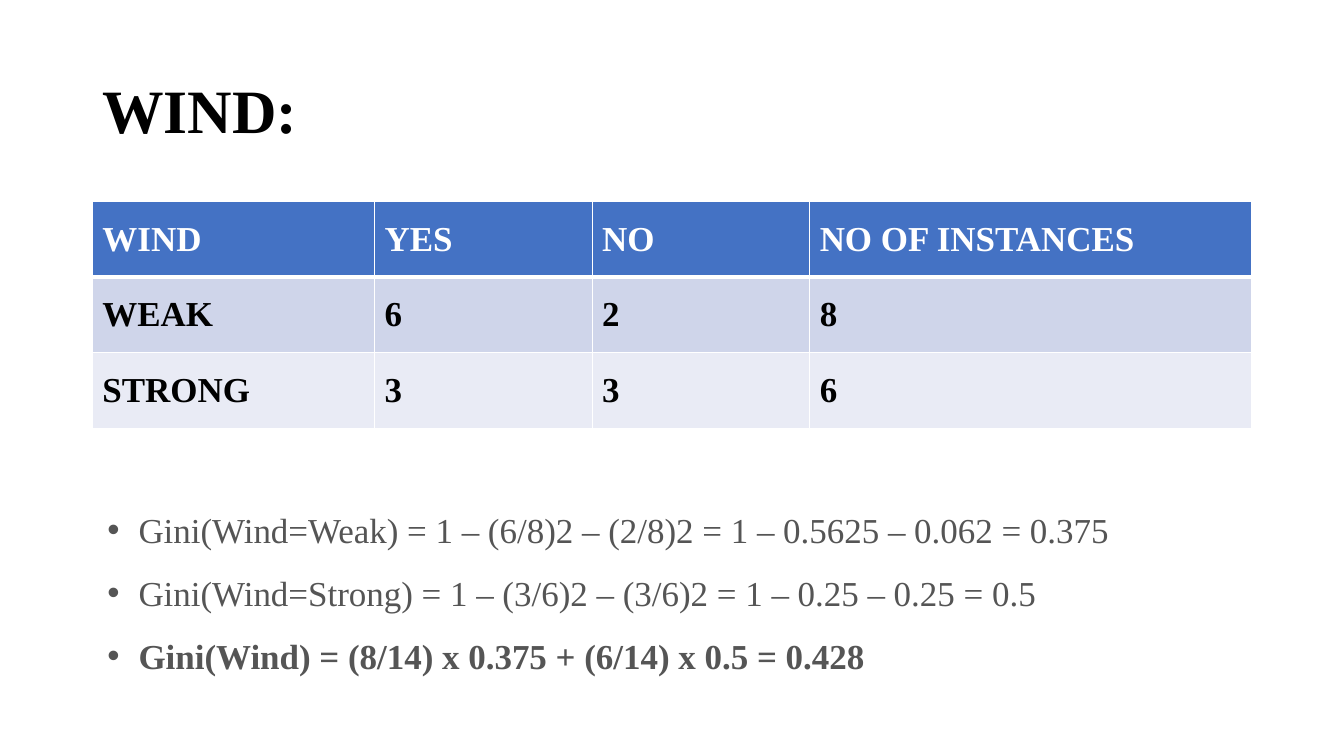
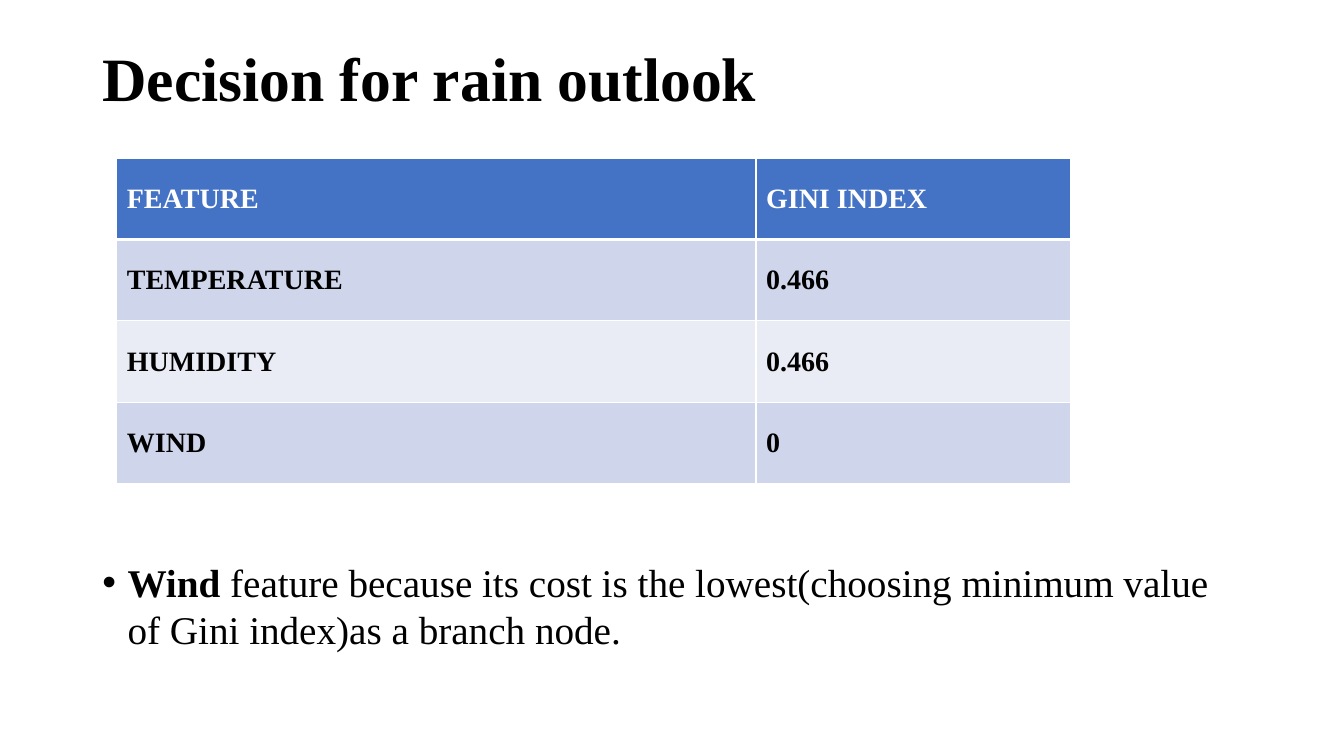
from dataclasses import dataclass
from typing import Any

from lxml import etree
from pptx import Presentation
from pptx import util as u
from pptx.dml.color import RGBColor
from pptx.enum import text
from pptx.oxml import ns

# Slide grid: 160 columns by 90 rows of square units
WIDTH, HEIGHT = u.Inches(13.333), u.Inches(7.5)
COLS, ROWS = 160, 90
MARGIN, SPAN = 11, 138

# Shared look
FONT = "Times New Roman"
BLACK = RGBColor(0x00, 0x00, 0x00)
WHITE = RGBColor(0xFF, 0xFF, 0xFF)
GREY = RGBColor(0x55, 0x55, 0x55)
HEADER = RGBColor(0x44, 0x72, 0xC4)
BANDS = (RGBColor(0xCF, 0xD5, 0xEA), RGBColor(0xE9, 0xEB, 0xF5))
THIN, THICK = 1, 3
CELL_FORMAT = {
    "vertical_anchor": text.MSO_ANCHOR.MIDDLE,
    "margin_left": u.Inches(0.1),
    "margin_right": u.Inches(0.1),
    "margin_top": u.Inches(0.1),
    "margin_bottom": u.Inches(0.1),
}


@dataclass(frozen=True)
class Box:
    """A rectangle in grid units."""
    left: float
    top: float
    width: float
    height: float


@dataclass(frozen=True)
class Run:
    words: str
    bold: bool = False


@dataclass(frozen=True)
class TextStyle:
    size: float
    color: RGBColor = BLACK
    spacing: float = 1.0
    indent: float = 0.0  # inches; a positive value makes a bullet


@dataclass(frozen=True)
class Grid:
    left: float
    top: float
    col_widths: tuple[float, ...]
    row_height: float
    size: int
    rows: tuple[tuple[str, ...], ...]


TITLE = TextStyle(44, spacing=0.9)


def gx(columns: float) -> int:
    return round(WIDTH * columns / COLS)


def gy(rows: float) -> int:
    return round(HEIGHT * rows / ROWS)


def set_all(target: Any, values: dict[str, Any]) -> None:
    for name, value in values.items():
        setattr(target, name, value)


def add_run(p: Any, run: Run, size: float, color: RGBColor) -> None:
    r = p.add_run()
    r.text = run.words
    set_all(r.font, {"name": FONT, "size": u.Pt(size), "bold": run.bold})
    r.font.color.rgb = color


def add_bullet(p: Any, indent: float) -> None:
    ppr = p._p.get_or_add_pPr()
    ppr.set("marL", str(u.Inches(indent)))
    ppr.set("indent", str(-u.Inches(indent)))
    etree.SubElement(ppr, ns.qn("a:buFont")).set("typeface", "Arial")
    etree.SubElement(ppr, ns.qn("a:buChar")).set("char", "•")


def add_text(s: Any, box: Box, paragraphs: list[list[Run]], style: TextStyle,
             anchor: Any = text.MSO_ANCHOR.TOP) -> None:
    sp = s.shapes.add_textbox(gx(box.left), gy(box.top), gx(box.width), gy(box.height))
    tf = sp.text_frame
    set_all(tf, {"word_wrap": True, "vertical_anchor": anchor})
    for i, runs in enumerate(paragraphs):
        p = tf.add_paragraph() if i else tf.paragraphs[0]
        if style.indent:
            add_bullet(p, style.indent)
        p.line_spacing = style.spacing
        for run in runs:
            add_run(p, run, style.size, style.color)


def add_title(s: Any, words: str, height: float) -> None:
    add_text(s, Box(MARGIN, 4.8, SPAN, height), [[Run(words, True)]], TITLE,
             text.MSO_ANCHOR.MIDDLE)


def add_borders(cell: Any, top: float, bottom: float) -> None:
    tcpr = cell._tc.get_or_add_tcPr()
    for side, width in (("L", THIN), ("R", THIN), ("T", top), ("B", bottom)):
        ln = etree.SubElement(tcpr, ns.qn(f"a:ln{side}"), w=str(u.Pt(width)))
        fill = etree.SubElement(ln, ns.qn("a:solidFill"))
        etree.SubElement(fill, ns.qn("a:srgbClr"), val=str(WHITE))


def add_grid(s: Any, grid: Grid) -> None:
    count = len(grid.rows)
    table = s.shapes.add_table(
        count, len(grid.col_widths), gx(grid.left), gy(grid.top),
        gx(sum(grid.col_widths)), gy(grid.row_height * count)).table
    for column, width in zip(table.columns, grid.col_widths):
        column.width = gx(width)
    for i, words in enumerate(grid.rows):
        table.rows[i].height = gy(grid.row_height)
        for j, word in enumerate(words):
            cell = table.cell(i, j)
            set_all(cell, CELL_FORMAT)
            # The rule under the header belongs to both rows it parts
            add_borders(cell, THICK if i == 1 else THIN, THICK if i == 0 else THIN)
            cell.fill.solid()
            cell.fill.fore_color.rgb = BANDS[(i - 1) % 2] if i else HEADER
            add_run(cell.text_frame.paragraphs[0], Run(word, True), grid.size,
                    BLACK if i else WHITE)


def wind_slide(s: Any) -> None:
    add_title(s, "WIND:", 17.4)
    add_grid(s, Grid(MARGIN, 24, (33.6, 25.9, 25.9, 52.6), 9, 25, (
        ("WIND", "YES", "NO", "NO OF INSTANCES"),
        ("WEAK", "6", "2", "8"),
        ("STRONG", "3", "3", "6"),
    )))
    add_text(s, Box(11.6, 57.5, 131, 23), [
        [Run("Gini(Wind=Weak) = 1 – (6/8)2 – (2/8)2 = 1 – 0.5625 – 0.062 = 0.375")],
        [Run("Gini(Wind=Strong) = 1 – (3/6)2 – (3/6)2 = 1 – 0.25 – 0.25 = 0.5")],
        [Run("Gini(Wind) = (8/14) x 0.375 + (6/14) x 0.5 = 0.428", True)],
    ], TextStyle(25, GREY, 1.5, 0.31))


def decision_slide(s: Any) -> None:
    add_title(s, "Decision for rain outlook", 9.8)
    add_text(s, Box(MARGIN, 65.9, SPAN, 15.2), [[
        Run("Wind", True),
        Run(" feature because its cost is the lowest(choosing minimum value of "
            "Gini index)as a branch node."),
    ]], TextStyle(28, indent=0.25))
    add_grid(s, Grid(13.9, 18.8, (76.1, 37.4), 9.7, 20, (
        ("FEATURE", "GINI INDEX"),
        ("TEMPERATURE", "0.466"),
        ("HUMIDITY", "0.466"),
        ("WIND", "0"),
    )))


def main() -> None:
    prs = Presentation()
    set_all(prs, {"slide_width": WIDTH, "slide_height": HEIGHT})
    blank = prs.slide_layouts[6]
    for build in (wind_slide, decision_slide):
        build(prs.slides.add_slide(blank))
    prs.save("out.pptx")


if __name__ == "__main__":
    main()
